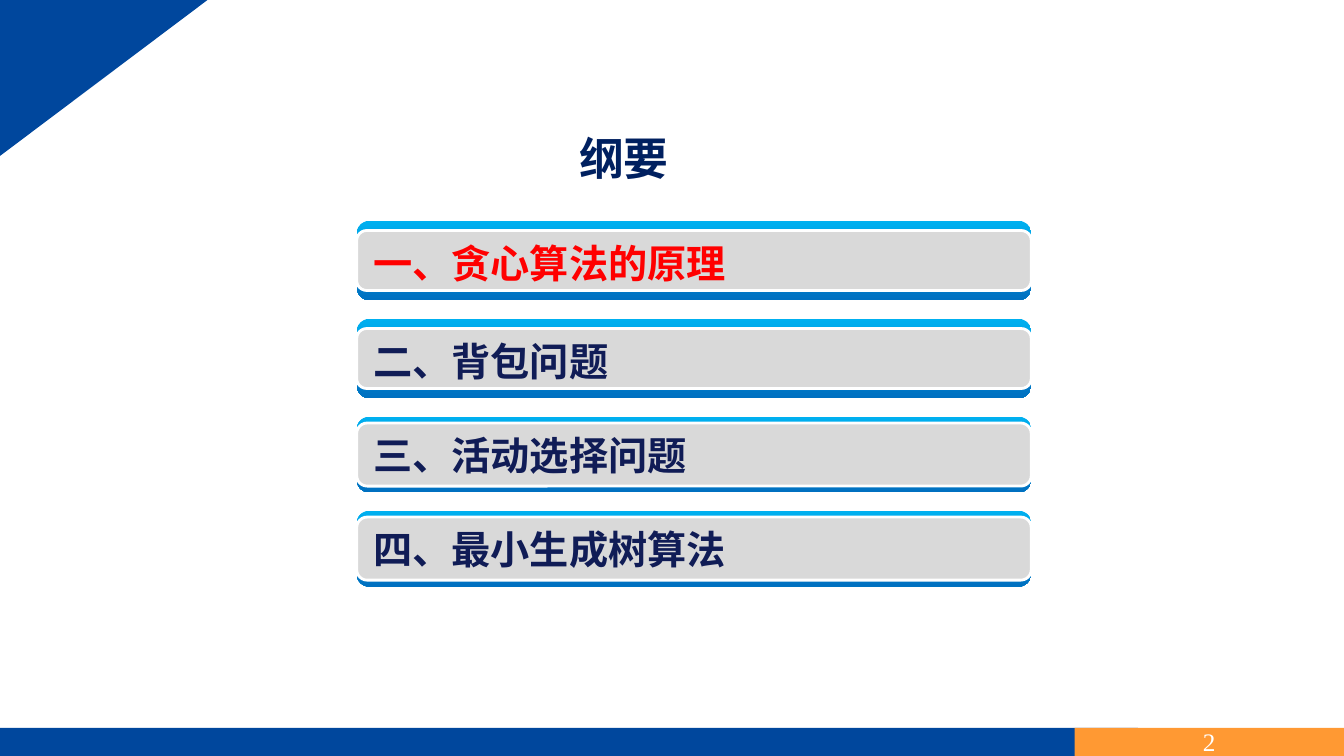
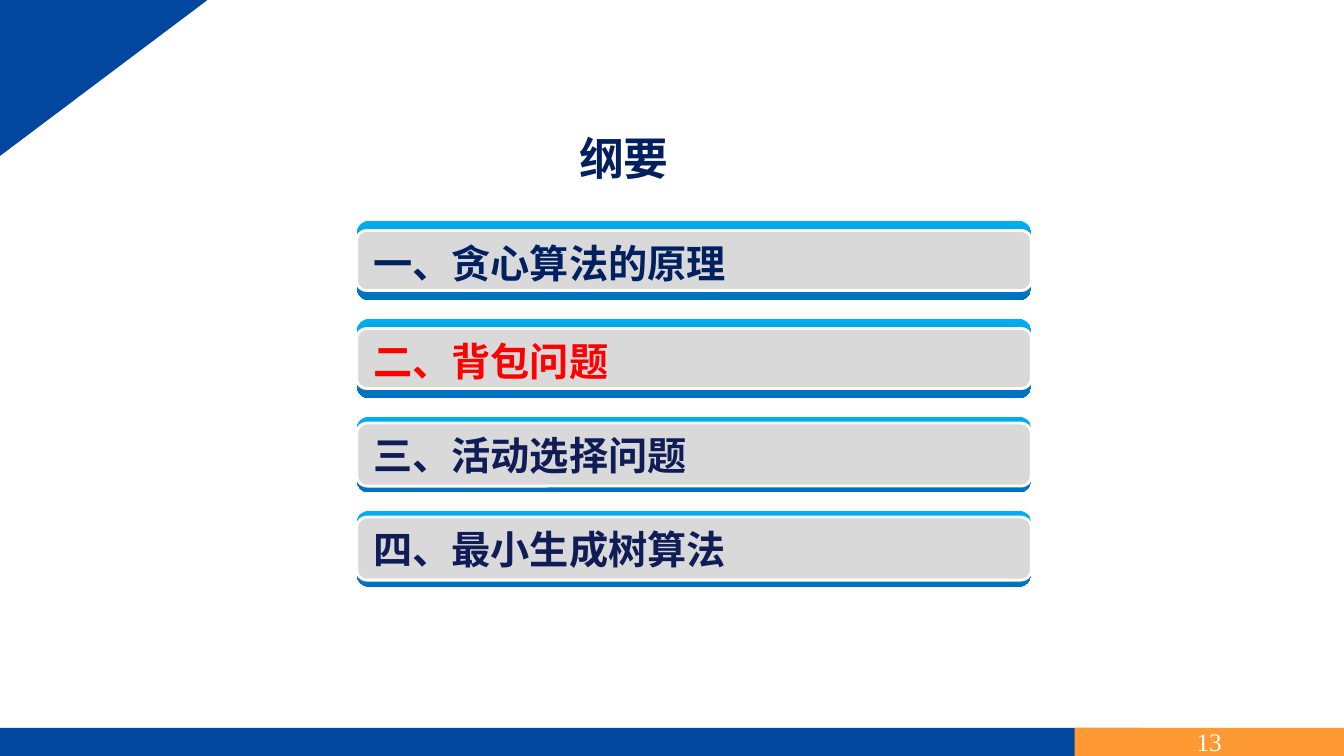
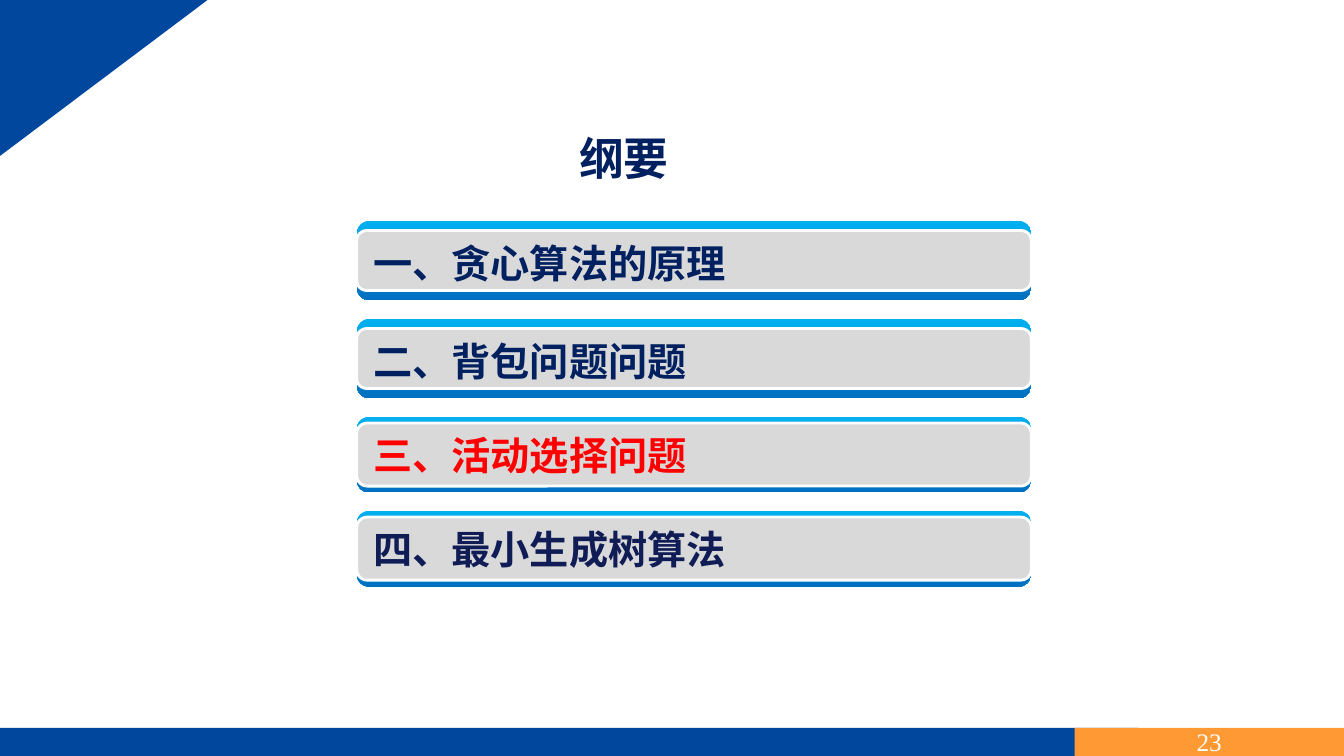
from pptx import Presentation
from pptx.dml.color import RGBColor
from pptx.enum.shapes import MSO_SHAPE as Form
from pptx.enum.text import MSO_ANCHOR as Anchor, MSO_AUTO_SIZE as Fit, PP_ALIGN as Align
from pptx.util import Cm, Pt

WIDE, HIGH = 33.87, 19.05
FACE = "Times New Roman"
HUES = {
    "blue": "00479D", "orange": "FF9933", "white": "FFFFFF", "gray": "D9D9D9",
    "sky": "00B0F0", "sea": "0070C0", "navy": "002060", "ink": "101C56", "red": "FF0000",
}
GAP = 0.46
ROWS = [(2.01, 0.25), (2.01, 0.25), (1.91, 0.16), (1.91, 0.16)]
PACK = "二、背包问题"
PAGES = [(2, 0, PACK), (13, 1, PACK), (23, 2, "二、背包问题问题")]


def hue(name):
    """Return the named colour."""
    return RGBColor.from_string(HUES[name])


def place(host, form, box, fill=None):
    """Add a flat shape without an outline in a box given in cm."""
    shape = host.shapes.add_shape(form, *map(Cm, box))
    shape.shadow.inherit = False
    shape.line.fill.background()
    if fill:
        shape.fill.solid()
        shape.fill.fore_color.rgb = hue(fill)
    return shape


def write(shape, text, size, color, align=Align.LEFT, bold=False):
    """Put one styled paragraph into a shape."""
    frame = shape.text_frame
    frame.word_wrap = True
    line = frame.paragraphs[0]
    line.text = text
    line.alignment = align
    font = line.font
    font.name, font.size, font.bold = FACE, Pt(size), bold
    font.color.rgb = hue(color)


def label(host, box, *style):
    """Add a text box that grows with its text."""
    shape = host.shapes.add_textbox(*map(Cm, box))
    write(shape, *style)
    shape.text_frame.auto_size = Fit.SHAPE_TO_FIT_TEXT


def frame(slide, page):
    """Draw the corner, the bottom bands and the page number."""
    top, tall, left = 18.34, 0.71, 27.08
    place(slide, Form.RECTANGLE, (0, top, 28.68, tall), "blue")
    band = place(slide, Form.RECTANGLE, (left, top, WIDE - left, tall), "orange")
    write(band, str(page), 18, "white", Align.CENTER)
    band.text_frame.vertical_anchor = Anchor.MIDDLE
    wide, high = 5.23, 3.93
    shift = (wide - high) / 2
    corner = place(slide, Form.RIGHT_TRIANGLE, (shift, -shift, high, wide), "blue")
    corner.rotation = 90


def bar(slide, box, rim, text, color):
    """Draw one agenda bar: gradient back, gray plate and label."""
    left, top, wide, high = box
    group = slide.shapes.add_group_shape()
    back = place(group, Form.ROUNDED_RECTANGLE, box)
    back.fill.gradient()
    back.fill.gradient_angle = 270
    for stop, name in zip(back.fill.gradient_stops, ("sky", "sea")):
        stop.color.rgb = hue(name)
    inner = (left, top + rim, wide, high - 2 * rim)
    plate = place(group, Form.ROUNDED_RECTANGLE, inner, "gray")
    plate.line.color.rgb = hue("white")
    plate.line.width = Pt(2)
    label(group, (left + 0.17, top + rim + 0.09, wide - 0.4, 1.45),
          text, 28, color, Align.LEFT, True)


def agenda(slide, box, items, now):
    """Stack the bars, with the current one in red and past ones in navy."""
    left, top, wide = box
    for i, (text, (high, rim)) in enumerate(zip(items, ROWS)):
        color = "red" if i == now else "navy" if i < now else "ink"
        bar(slide, (left, top, wide, high), rim, text, color)
        top += high + GAP


def main():
    """Build and save the agenda slides."""
    deck = Presentation()
    deck.slide_width, deck.slide_height = Cm(WIDE), Cm(HIGH)
    for page, now, pack in PAGES:
        slide = deck.slides.add_slide(deck.slide_layouts[6])
        frame(slide, page)
        label(slide, (10.16, 3.18, 11.13, 1.63), "纲要", 32, "navy", Align.CENTER, True)
        items = ["一、贪心算法的原理", pack, "三、活动选择问题", "四、最小生成树算法"]
        agenda(slide, (8.99, 5.56, 17), items, now)
    deck.save("out.pptx")


if __name__ == "__main__":
    main()
